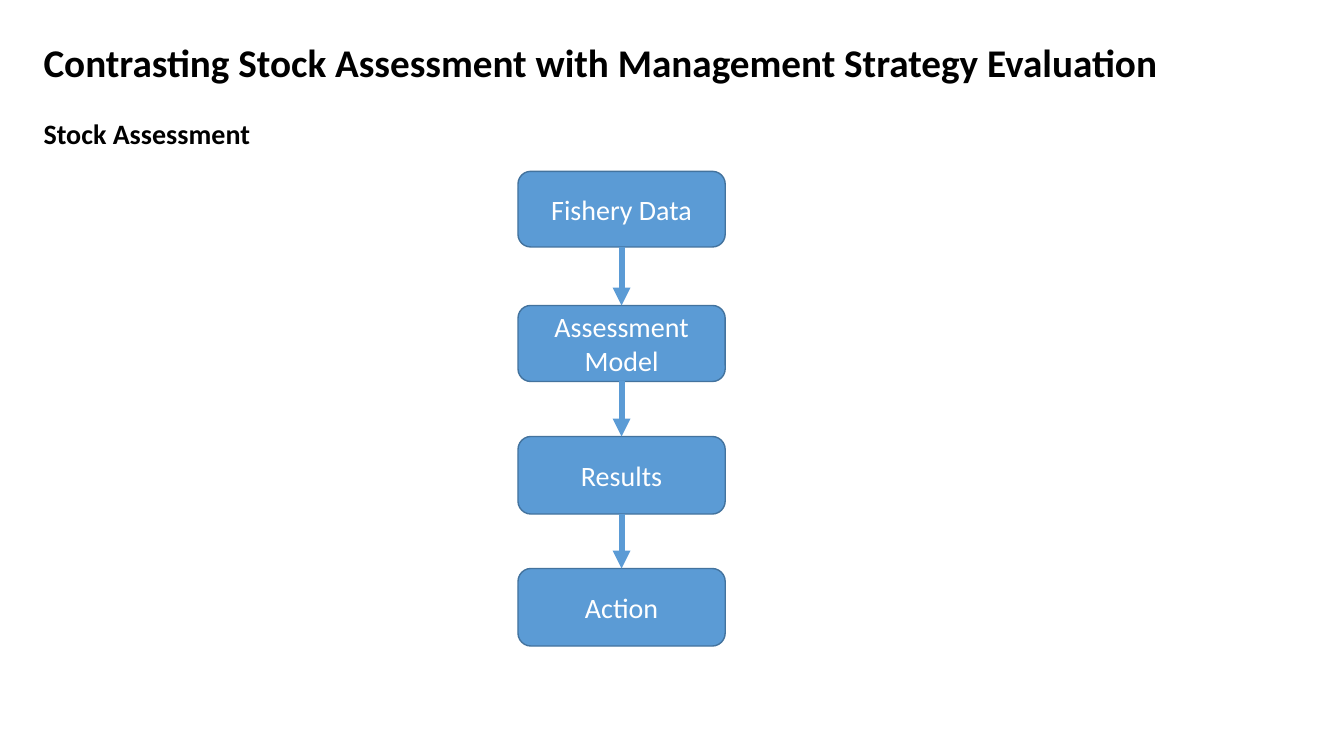
from lxml import etree
from pptx import Presentation
from pptx import util as u
from pptx.dml.color import RGBColor
from pptx.enum import shapes, text
from pptx.oxml.ns import qn

COLORS = {"text": "000000", "box": "5B9BD5", "edge": "43739E", "label": "FFFFFF"}
FONT = "Calibri"
STEPS = [
    ("Fishery Data", 0, 54),
    ("Assessment Model", 95.8, 54.3),
    ("Results", 189.4, 55.4),
    ("Action", 283.7, 55.4),
]


def rgb(name):
    """Return the named palette colour."""
    return RGBColor.from_string(COLORS[name])


def style_text(tf, size, color, bold=False):
    """Format every run in a text frame."""
    for p in tf.paragraphs:
        for r in p.runs:
            r.font.name = FONT
            r.font.size = u.Pt(size)
            r.font.bold = bold
            r.font.color.rgb = rgb(color)


def add_heading(s, content, left, top, width, height, size):
    """Place a bold heading in the given box."""
    tf = s.shapes.add_textbox(u.Pt(left), u.Pt(top), u.Pt(width), u.Pt(height)).text_frame
    tf.word_wrap = True
    tf.auto_size = text.MSO_AUTO_SIZE.SHAPE_TO_FIT_TEXT
    tf.text = content
    style_text(tf, size, "text", bold=True)


def add_step(s, label, left, top, width, height):
    """Draw one rounded step of the flow and return it."""
    sp = s.shapes.add_shape(shapes.MSO_SHAPE.ROUNDED_RECTANGLE,
                            u.Pt(left), u.Pt(top), u.Pt(width), u.Pt(height))
    sp.shadow.inherit = False
    sp.fill.solid()
    sp.fill.fore_color.rgb = rgb("box")
    sp.line.color.rgb = rgb("edge")
    sp.line.width = u.Pt(1)
    tf = sp.text_frame
    tf.word_wrap = True
    tf.vertical_anchor = text.MSO_ANCHOR.MIDDLE
    tf.text = label
    tf.paragraphs[0].alignment = text.PP_ALIGN.CENTER
    style_text(tf, 20, "label")
    return sp


def add_arrow(s, upper, lower):
    """Join the bottom of one step to the top of the next."""
    c = s.shapes.add_connector(shapes.MSO_CONNECTOR.STRAIGHT, 0, 0, 0, 0)
    c.begin_connect(upper, 2)
    c.end_connect(lower, 0)
    c.line.color.rgb = rgb("box")
    c.line.width = u.Pt(4.25)
    etree.SubElement(c.line._get_or_add_ln(), qn("a:tailEnd"), type="triangle")
    etree.SubElement(c._element.spPr, qn("a:effectLst"))


def add_flow(s, left, top, width):
    """Stack the steps downward and link neighbours with arrows."""
    boxes = [add_step(s, label, left, top + offset, width, height)
             for label, offset, height in STEPS]
    for upper, lower in zip(boxes, boxes[1:]):
        add_arrow(s, upper, lower)


def main():
    """Build and save the slide."""
    prs = Presentation()
    prs.slide_width, prs.slide_height = u.Pt(960), u.Pt(540)
    s = prs.slides.add_slide(prs.slide_layouts[6])
    add_heading(s, "Contrasting Stock Assessment with Management Strategy Evaluation",
                24, 24, 887, 41, 28)
    add_heading(s, "Stock Assessment", 24, 80, 218, 31.5, 20)
    add_flow(s, 370, 122.4, 148)
    prs.save("out.pptx")


if __name__ == "__main__":
    main()
